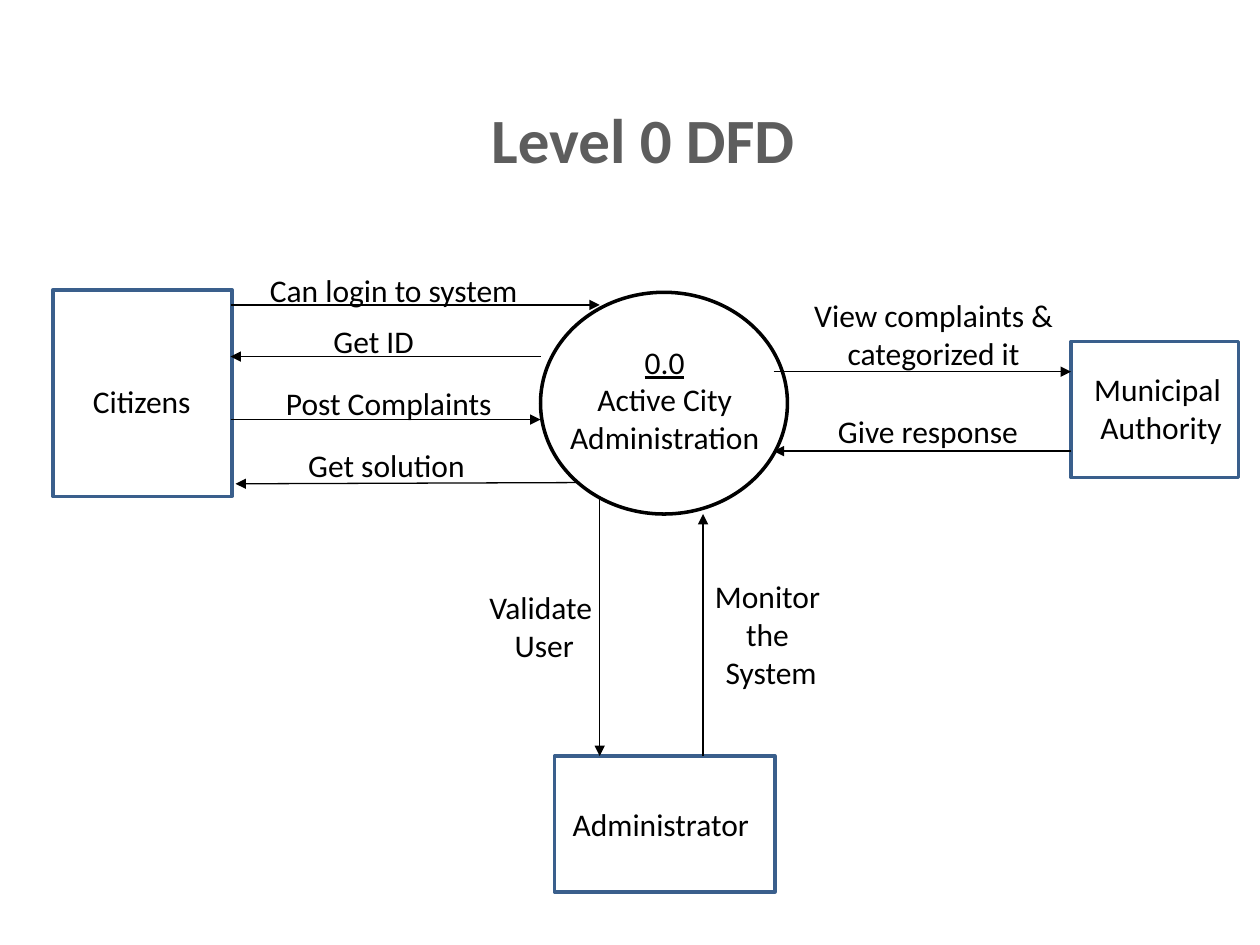
from pptx import Presentation
from pptx.dml.color import RGBColor
from pptx.enum import shapes, text
from pptx.oxml.ns import qn
from pptx.util import Inches, Pt
from lxml import etree


def paint(color, hue):
    color.rgb = RGBColor.from_string(hue)


def node(slide, kind, box, edge):
    shape = slide.shapes.add_shape(kind, *map(Inches, box))
    shape.shadow.inherit = False
    shape.fill.solid()
    paint(shape.fill.fore_color, "FFFFFF")
    paint(shape.line.color, edge)
    shape.line.width = Pt(2)


def label(slide, words, box, size=18, hue="000000", bold=False, wrap=True):
    frame = slide.shapes.add_textbox(*map(Inches, box)).text_frame
    frame.word_wrap = wrap
    frame.auto_size = text.MSO_AUTO_SIZE.SHAPE_TO_FIT_TEXT
    frame.text = words
    for para in frame.paragraphs:
        para.alignment = text.PP_ALIGN.CENTER
        for run in para.runs:
            run.font.name = "Calibri"
            run.font.size = Pt(size)
            run.font.bold = bold
            paint(run.font.color, hue)
    return frame


def arrow(slide, ends):
    line = slide.shapes.add_connector(
        shapes.MSO_CONNECTOR.STRAIGHT, *map(Inches, ends))
    paint(line.line.color, "000000")
    line.line.width = Pt(0.75)
    tip = etree.SubElement(line.line._get_or_add_ln(), qn("a:tailEnd"))
    tip.set("type", "triangle")
    etree.SubElement(line._element.spPr, qn("a:effectLst"))


def main():
    deck = Presentation()
    deck.slide_width, deck.slide_height = Inches(10), Inches(7.5)
    slide = deck.slides.add_slide(deck.slide_layouts[6])

    node(slide, shapes.MSO_SHAPE.OVAL, (4.29, 2.32, 1.96, 1.76), "000000")
    hub = label(slide, "0.0\nActive City Administration",
                (4.4, 2.67, 1.75, 1.01))
    hub.paragraphs[0].runs[0].font.underline = True

    parties = [
        ("Citizens", (0.42, 2.3, 1.42, 1.64), (0.25, 2.98, 1.75, 0.4)),
        ("Municipal \nAuthority", (8.5, 2.71, 1.33, 1.08),
         (8.34, 2.89, 1.75, 0.71)),
        ("Administrator", (4.4, 6, 1.75, 1.08), (4.37, 6.34, 1.75, 0.4)),
    ]
    for name, box, area in parties:
        node(slide, shapes.MSO_SHAPE.RECTANGLE, box, "3A5F8C")
        label(slide, name, area)

    flows = [
        ("Can login to system", (1.83, 2.42, 4.76, 2.42),
         (1.88, 2.1, 2.49, 0.4)),
        ("Validate \nUser", (4.76, 3.95, 4.76, 6), (3.34, 4.62, 1.96, 0.71)),
        ("Monitor \nthe \nSystem", (5.58, 6, 5.58, 4.08),
         (5.14, 4.53, 1.96, 1.01)),
        ("Get ID", (4.29, 2.83, 1.83, 2.83), (1.72, 2.51, 2.49, 0.4)),
        ("Post Complaints", (1.83, 3.33, 4.29, 3.33), (1.84, 3, 2.49, 0.4)),
        ("View complaints & categorized it", (6.14, 2.95, 8.5, 2.95),
         (6.22, 2.3, 2.38, 0.71)),
        ("Give response", (8.5, 3.58, 6.14, 3.58), (6.12, 3.22, 2.49, 0.4)),
        ("Get solution ", (4.58, 3.83, 1.87, 3.84), (1.85, 3.49, 2.49, 0.4)),
    ]
    for name, ends, area in flows:
        arrow(slide, ends)
        label(slide, name, area)

    label(slide, " Level 0 DFD", (3.67, 0.75, 2.75, 0.71),
          size=36, hue="5D5D5D", bold=True, wrap=False)
    deck.save("out.pptx")


main()
